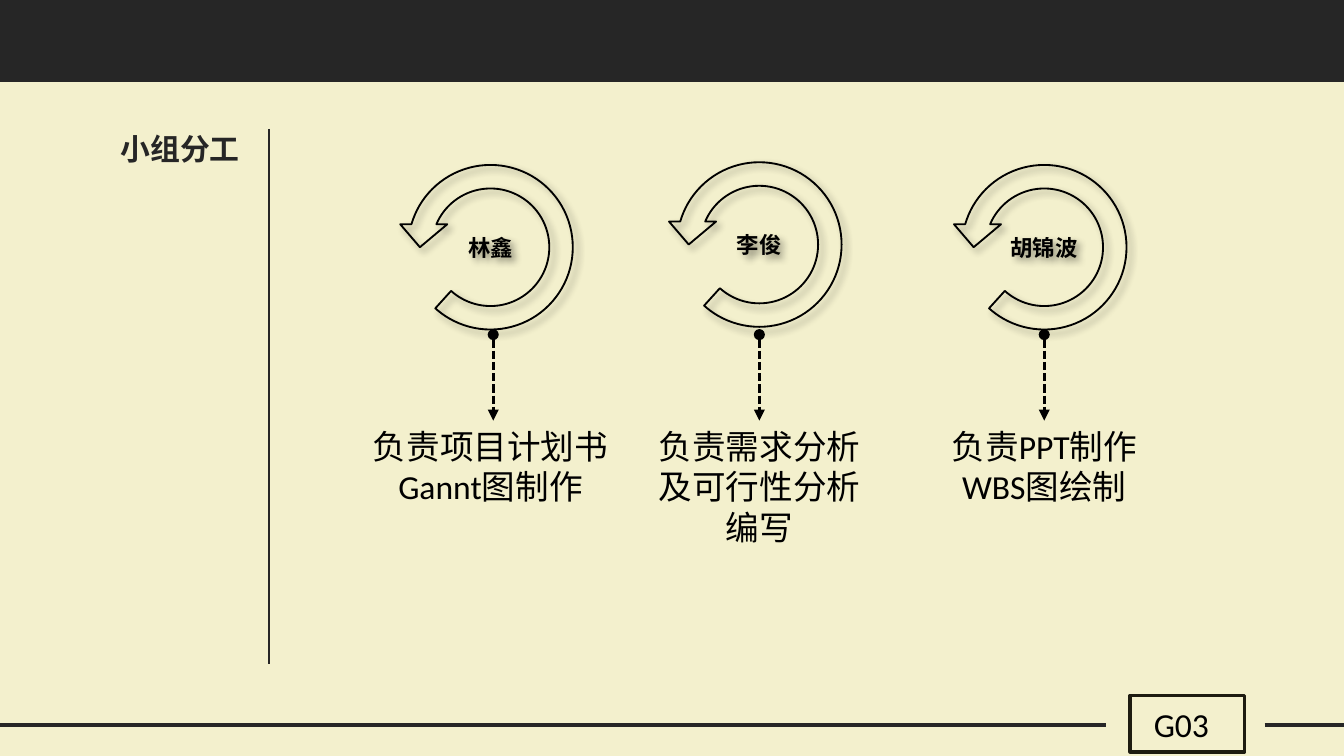
import pptx
import pptx.util
import pptx.dml.color
import pptx.enum.shapes
import pptx.enum.text
import pptx.oxml.ns
from lxml import etree

Inches, Pt = pptx.util.Inches, pptx.util.Pt
SHAPE = pptx.enum.shapes.MSO_SHAPE
ALIGN = pptx.enum.text.PP_ALIGN
ANCHOR = pptx.enum.text.MSO_ANCHOR
qn = pptx.oxml.ns.qn

COLORS = {"paper": "F3F0CD", "dark": "262626", "frame": "1E1C11", "ink": "000000"}
LATIN, CJK = "Calibri", "Noto Sans CJK SC"
RING = 1.4
RING_ADJUSTMENTS = (0.125, 11.42, 204.58, 28.75, 0.125)

# name, ring centre, arrow x, ring top, caption lines, caption width
MEMBERS = [
    ("林鑫", 3.65, 3.67, 1.14, ["负责项目计划书", "Gannt图制作"], 1.97),
    ("李俊", 5.65, 5.65, 1.12, ["负责需求分析及可行性分析编写"], 1.89),
    ("胡锦波", 7.77, 7.77, 1.14, ["负责PPT制作", "WBS图绘制"], 3.32),
]


def rgb(name):
    """Return the named colour."""
    return pptx.dml.color.RGBColor.from_string(COLORS[name])


def write(sp, lines, size=18, font=LATIN, color="ink", bold=False,
          align=ALIGN.CENTER, anchor=ANCHOR.TOP, wrap=True, insets=(0.1, 0.05)):
    """Fill a shape with one paragraph per line, all in one format."""
    tf = sp.text_frame
    tf.word_wrap, tf.vertical_anchor = wrap, anchor
    tf.auto_size = pptx.enum.text.MSO_AUTO_SIZE.NONE
    tf.margin_left = tf.margin_right = Inches(insets[0])
    tf.margin_top = tf.margin_bottom = Inches(insets[1])
    for i, line in enumerate(lines):
        p = tf.add_paragraph() if i else tf.paragraphs[0]
        p.alignment = align
        r = p.add_run()
        r.text = line
        r.font.name, r.font.size, r.font.bold = font, Pt(size), bold
        r.font.color.rgb = rgb(color)
        if font == CJK:
            etree.SubElement(r.font._element, qn("a:ea"), typeface=font)


def add_text(s, x, y, w, h, lines, **fmt):
    """Add a text box in the given box."""
    write(s.shapes.add_textbox(Inches(x), Inches(y), Inches(w), Inches(h)), lines, **fmt)


def add_box(s, shape, x, y, w, h, fill=None, line=None, width=1):
    """Add a preset shape without shadow; fill and line are optional."""
    sp = s.shapes.add_shape(shape, Inches(x), Inches(y), Inches(w), Inches(h))
    sp.shadow.inherit = False
    if fill:
        sp.fill.solid()
        sp.fill.fore_color.rgb = rgb(fill)
    else:
        sp.fill.background()
    if line:
        sp.line.color.rgb, sp.line.width = rgb(line), Pt(width)
    else:
        sp.line.fill.background()
    return sp


def add_line(s, x1, y1, x2, y2, color="dark", width=1.25, arrow=False):
    """Add a straight line, or a dashed arrow starting at a dot."""
    cx = s.shapes.add_connector(pptx.enum.shapes.MSO_CONNECTOR.STRAIGHT,
                                Inches(x1), Inches(y1), Inches(x2), Inches(y2))
    cx.line.color.rgb, cx.line.width = rgb(color), Pt(width)
    if arrow:
        ln = cx.line._get_or_add_ln()
        for tag, attr, val in (("a:prstDash", "val", "sysDash"),
                               ("a:headEnd", "type", "oval"),
                               ("a:tailEnd", "type", "triangle")):
            etree.SubElement(ln, qn(tag)).set(attr, val)
    etree.SubElement(cx._element.spPr, qn("a:effectLst"))


def add_ring(s, x, y, size, name):
    """Add a member's circular arrow with a soft shadow."""
    sp = add_box(s, SHAPE.CIRCULAR_ARROW, x, y, size, size, line="ink")
    for i, value in enumerate(RING_ADJUSTMENTS):
        sp.adjustments[i] = value
    spPr = sp._element.spPr
    spPr.find(qn("a:xfrm")).set("flipH", "1")
    shadow = etree.SubElement(spPr.find(qn("a:effectLst")), qn("a:outerShdw"),
                              blurRad=str(Pt(4)), dist=str(Pt(3)), dir="2700000",
                              algn="tl", rotWithShape="0")
    clr = etree.SubElement(shadow, qn("a:srgbClr"), val=COLORS["ink"])
    etree.SubElement(clr, qn("a:alpha"), val="40000")
    write(sp, [name], size=12, font=CJK, bold=True, anchor=ANCHOR.MIDDLE,
          insets=(0.07, 0.04))


def add_member(s, name, centre, arrow_x, top, lines, width):
    """Add one column: arrow, ring and caption around its centre."""
    add_line(s, arrow_x, 2.49, arrow_x, 3.13, color="ink", width=1.5, arrow=True)
    add_ring(s, centre - RING / 2, top, RING, name)
    height = 0.71 if len(lines) > 1 else 1.01
    add_text(s, centre - width / 2, 3.12, width, height, lines, wrap=len(lines) == 1)


def add_frame(s, w, h):
    """Add the top band and the footer rule with its group label."""
    add_box(s, SHAPE.RECTANGLE, 0, 0, w, 0.61, fill="dark")
    for x1, x2 in ((0, 8.23), (9.41, w)):
        add_line(s, x1, h - 0.23, x2, h - 0.23, width=1.75)
    add_box(s, SHAPE.RECTANGLE, 8.41, h - 0.45, 0.85, 0.42, line="frame", width=2)
    add_text(s, 8.43, h - 0.44, 0.68, 0.4, [" G03"], align=ALIGN.LEFT, wrap=False)


def add_title(s, x, y, w, h, text):
    """Place the title and the vertical rule beside it."""
    sp = s.shapes.title
    sp.left, sp.top, sp.width, sp.height = (Inches(v) for v in (x, y, w, h))
    write(sp, [text], size=16, font=CJK, color="dark", bold=True)
    add_line(s, x + 1.41, y + 0.04, x + 1.41, y + 4.02)


def main():
    """Build and save the slide."""
    w = 10
    h = w * 9 / 16
    prs = pptx.Presentation()
    prs.slide_width, prs.slide_height = Inches(w), Inches(h)
    s = prs.slides.add_slide(prs.slide_layouts[5])
    s.background.fill.solid()
    s.background.fill.fore_color.rgb = rgb("paper")
    add_frame(s, w, h)
    add_title(s, 0.59, 0.92, 1.5, 0.37, "小组分工")
    for member in MEMBERS:
        add_member(s, *member)
    prs.save("out.pptx")


main()
